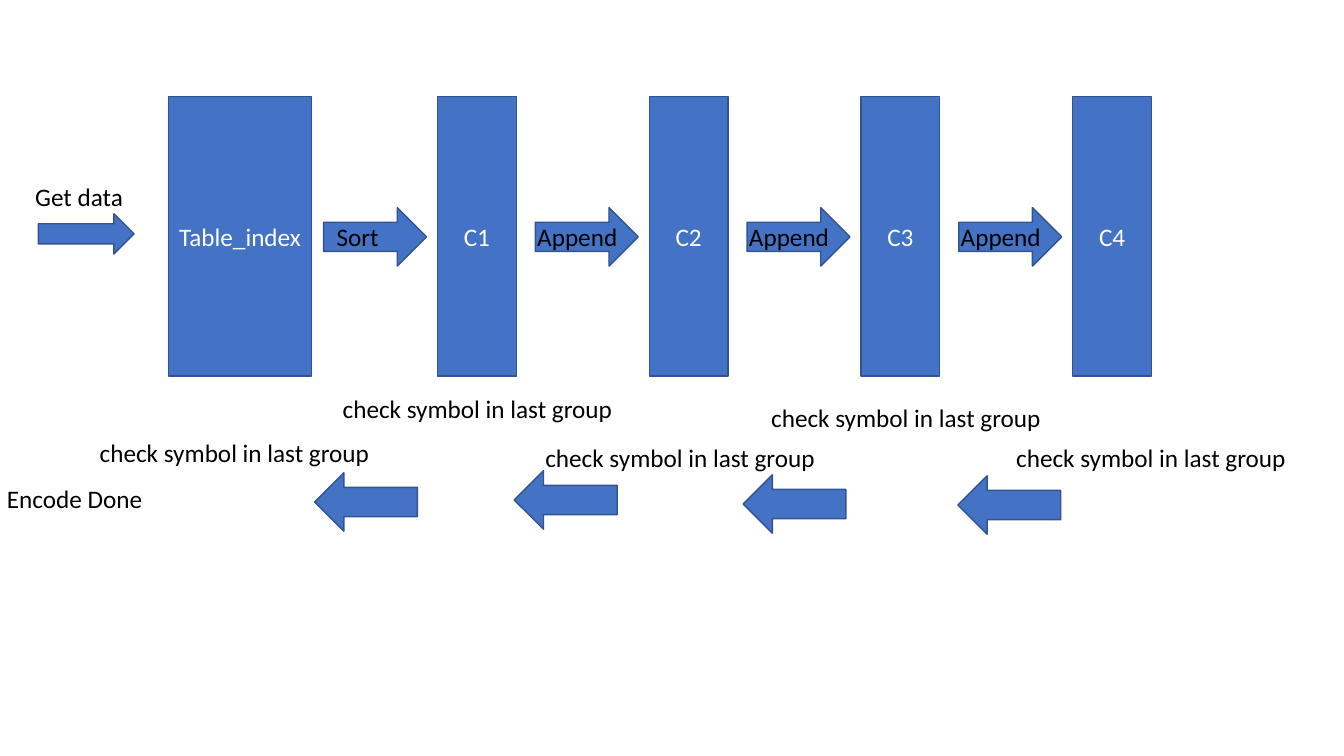
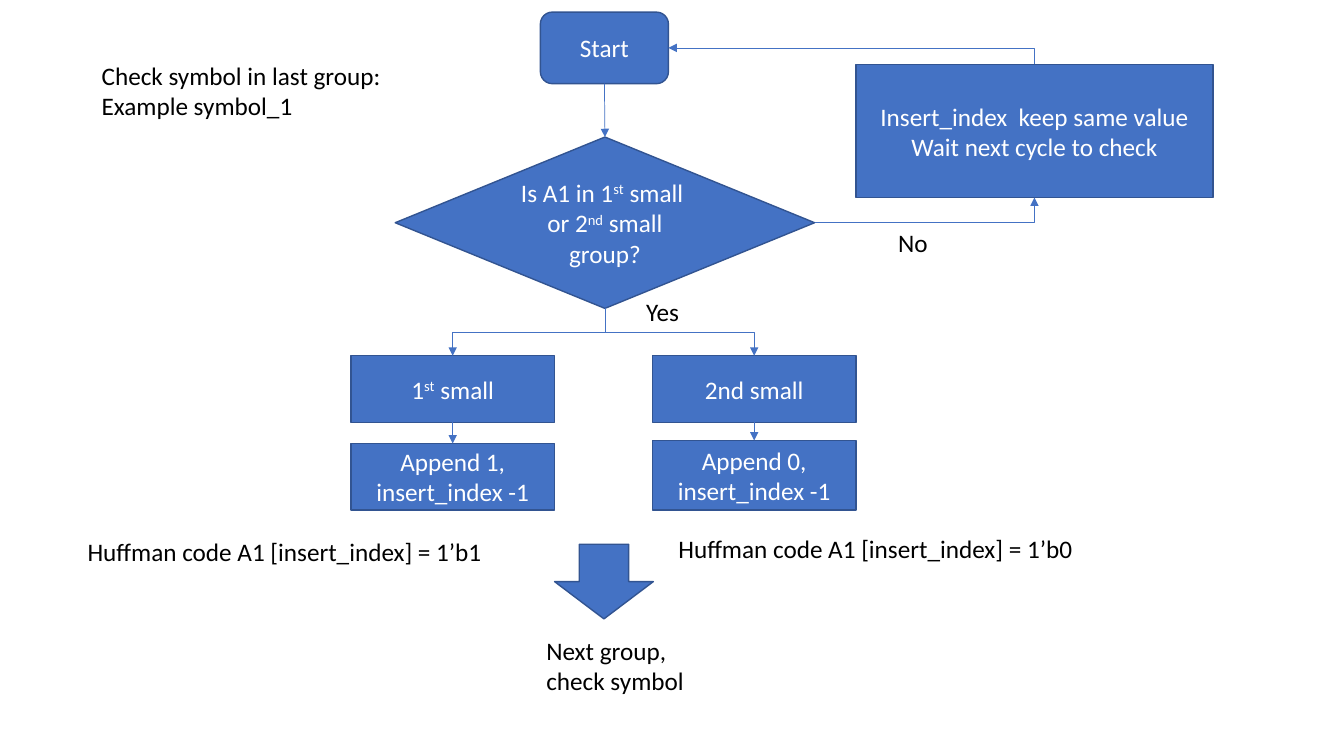
"""Two slides: a Huffman encoding pipeline and the flowchart of its symbol check."""
from dataclasses import dataclass

from lxml import etree
from pptx import Presentation
from pptx import util as u
from pptx.dml.color import RGBColor
from pptx.enum import shapes, text
from pptx.oxml.ns import qn

I = u.Inches
G = shapes.MSO_SHAPE
TOP, LEFT, BOTTOM, RIGHT = range(4)


@dataclass(frozen=True)
class Theme:
    font: str = "Calibri"
    size: u.Pt = u.Pt(18)
    fill: RGBColor = RGBColor(0x44, 0x72, 0xC4)
    edge: RGBColor = RGBColor(0x32, 0x54, 0x91)
    light: RGBColor = RGBColor(0xFF, 0xFF, 0xFF)
    dark: RGBColor = RGBColor(0, 0, 0)
    edge_width: u.Pt = u.Pt(1)
    link_width: u.Pt = u.Pt(0.5)


T = Theme()


def add(parent, words, x, y, w, h, kind=None, wrap=True, rotation=0):
    box = I(x), I(y), I(w), I(h)
    if kind is None:
        sp = parent.shapes.add_textbox(*box)
    else:
        sp = parent.shapes.add_shape(kind, *box)
        sp.shadow.inherit = False
        sp.fill.solid()
        sp.fill.fore_color.rgb = T.fill
        sp.line.color.rgb = T.edge
        sp.line.width = T.edge_width
        sp.rotation = rotation
    if not words:
        return sp
    tf = sp.text_frame
    tf.word_wrap = wrap
    if kind is None:
        tf.auto_size = text.MSO_AUTO_SIZE.SHAPE_TO_FIT_TEXT
    else:
        tf.vertical_anchor = text.MSO_ANCHOR.MIDDLE
    for n, row in enumerate(words.split("\n")):
        p = tf.add_paragraph() if n else tf.paragraphs[0]
        p.alignment = text.PP_ALIGN.LEFT if kind is None else text.PP_ALIGN.CENTER
        for k, part in enumerate(row.split("^")):
            r = p.add_run()
            r.text = part
            r.font.name, r.font.size = T.font, T.size
            r.font.color.rgb = T.dark if kind is None else T.light
            if k % 2:
                r._r.get_or_add_rPr().set("baseline", "30000")
    return sp


def link(s, start, start_side, end, end_side, bend=None, rotation=0, flip=None):
    kind = shapes.MSO_CONNECTOR.ELBOW if bend else shapes.MSO_CONNECTOR.STRAIGHT
    cx = s.shapes.add_connector(kind, 0, 0, 0, 0)
    cx.begin_connect(start, start_side)
    cx.end_connect(end, end_side)
    cx.line.color.rgb = T.fill
    cx.line.width = T.link_width
    props = cx._element.spPr
    etree.SubElement(props.find(qn("a:ln")), qn("a:tailEnd")).set("type", "triangle")
    etree.SubElement(props, qn("a:effectLst"))
    if bend:
        props.find(qn("a:prstGeom")).set("prst", bend)
        xfrm = props.find(qn("a:xfrm"))
        for name in ("flipH", "flipV"):
            xfrm.attrib.pop(name, None)
        if flip:
            xfrm.set(flip, "1")
        if rotation:
            xfrm.set("rot", str(rotation * 60000))
            w, h = cx.width, cx.height
            cx.left, cx.top = cx.left + (w - h) // 2, cx.top + (h - w) // 2
            cx.width, cx.height = h, w


prs = Presentation()
prs.slide_width, prs.slide_height = I(13.33), I(7.5)
blank = prs.slide_layouts[6]

s = prs.slides.add_slide(blank)
pitch = 2.1
add(s, "Table_index", 1.67, 0.96, 1.42, 2.77, G.RECTANGLE)
for n in range(4):
    add(s, f"C{n + 1}", 4.34 + n * pitch, 0.96, 0.78, 2.77, G.RECTANGLE)
for n in range(4):
    step = s.shapes.add_group_shape()
    add(step, "", 3.21 + n * pitch, 2.06, 1.02, 0.58, G.RIGHT_ARROW)
    if n:
        add(step, "Append", 3.13 + n * pitch, 2.15, 1.09, 0.4)
    else:
        add(step, "Sort", 3.24, 2.15, 0.78, 0.4)
for x, y in ((9.98, 4.34), (7.55, 3.94), (5.31, 4.34), (3.3, 3.85), (0.89, 4.29)):
    add(s, "check symbol in last group", x, y, 3.18, 0.4)
for x, y in ((9.5, 4.72), (5.1, 4.67), (3.12, 4.69), (7.37, 4.71)):
    add(s, "", x, y, 1.02, 0.58, G.RIGHT_ARROW, rotation=180)
add(s, "Encode Done", -0.03, 4.75, 1.84, 0.4)
add(s, "Get data", 0.25, 1.75, 1.08, 0.4, wrap=False)
add(s, "", 0.38, 2.12, 0.95, 0.4, G.RIGHT_ARROW)

s = prs.slides.add_slide(blank)
add(s, "Check symbol in last group:\nExample symbol_1", 0.91, 0.55, 3, 0.71, wrap=False)
wait = add(s, "Insert_index  keep same value\nWait next cycle to check",
           8.49, 0.64, 3.54, 1.32, G.RECTANGLE)
check = add(s, "Is A1 in 1^st^ small \nor 2^nd^ small group?",
            3.92, 1.36, 4.16, 1.7, G.FLOWCHART_DECISION)
start = add(s, "Start", 5.36, 0.12, 1.27, 0.71, G.FLOWCHART_ALTERNATE_PROCESS)
link(s, check, RIGHT, wait, BOTTOM, "bentConnector2", flip="flipV")
link(s, wait, TOP, start, RIGHT, "bentConnector2", 270, "flipV")
link(s, start, BOTTOM, check, TOP)

branches = (
    ("1^st^ small", 3.48, "1", 4.4, 0.66, 90, None, 0.77, 5.27),
    ("2nd small", 6.47, "0", 4.37, 0.69, 270, "flipH", 6.63, 5.24),
)
for label, x, bit, y, h, rotation, flip, code_x, code_y in branches:
    case = add(s, label, x, 3.53, 2.02, 0.66, G.RECTANGLE)
    action = add(s, f"Append {bit},\ninsert_index -1", x, y, 2.02, h, G.RECTANGLE)
    link(s, check, BOTTOM, case, TOP, "bentConnector3", rotation, flip)
    link(s, case, BOTTOM, action, TOP)
    add(s, f"Huffman code A1 [insert_index] = 1’b{bit}", code_x, code_y, 4.16, 0.4, wrap=False)
add(s, "No", 8.81, 2.21, 0.72, 0.4)
add(s, "Yes", 6.31, 2.89, 0.72, 0.4)
add(s, "", 5.5, 5.4, 0.98, 0.74, G.DOWN_ARROW)
add(s, "Next group, check symbol", 5.32, 6.25, 1.62, 0.71)

prs.save("out.pptx")
